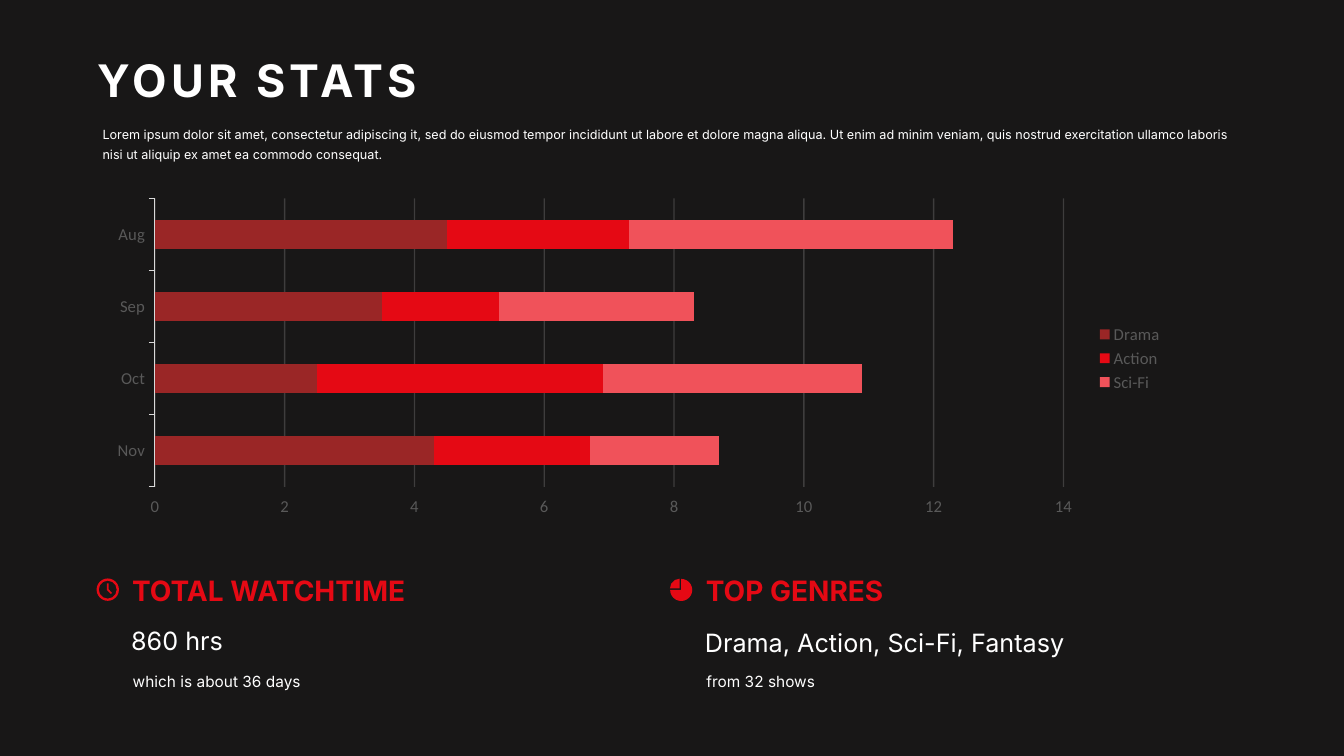
from lxml import etree
from pptx import Presentation
from pptx.chart.data import CategoryChartData
from pptx.dml.color import RGBColor
from pptx.enum.chart import XL_CHART_TYPE as CT, XL_LEGEND_POSITION as LP, XL_TICK_MARK as TM
from pptx.enum.shapes import MSO_SHAPE as SH
from pptx.enum.text import MSO_ANCHOR as ANCHOR, MSO_AUTO_SIZE as AUTO, PP_ALIGN as ALIGN
from pptx.oxml.ns import qn
from pptx.util import Pt

BG, WHITE, RED = "181717", "FFFFFF", "E50914"
GREY, LIGHT = "595959", "D9D9D9"
MONTHS = ["Nov", "Oct", "Sep", "Aug"]
GENRES = [
    ("Drama", "9A2626", [4.3, 2.5, 3.5, 4.5]),
    ("Action", RED, [2.4, 4.4, 1.8, 2.8]),
    ("Sci-Fi", "F0525A", [2, 4, 3, 5]),
]


def rgb(value):
    return RGBColor.from_string(value)


def box(x, y, w, h):
    return Pt(x), Pt(y), Pt(w), Pt(h)


def write(sp, text, size, color=WHITE, bold=False, wrap=False):
    tf = sp.text_frame
    tf.text = text
    tf.word_wrap = wrap
    tf.auto_size = AUTO.SHAPE_TO_FIT_TEXT
    tf.vertical_anchor = ANCHOR.TOP
    p = tf.paragraphs[0]
    p.alignment = ALIGN.LEFT
    font = p.runs[0].font
    font.name, font.size, font.bold = "Inter", Pt(size), bold
    font.color.rgb = rgb(color)
    return p


def paint(sp):
    sp.shadow.inherit = False
    sp.fill.solid()
    sp.fill.fore_color.rgb = rgb(RED)
    sp.line.fill.background()


def add_header(s, x, y, w):
    title = s.shapes.title
    title.left, title.top, title.width, title.height = box(x, y, 248.4, 46)
    p = write(title, "YOUR STATS", 32, bold=True)
    p.line_spacing = 1.0
    p.runs[0].font._element.set("spc", "300")  # letter spacing

    intro = s.shapes.add_textbox(*box(x + 3.6, y + 50.4, w, 34.6))
    p = write(intro, "Lorem ipsum dolor sit amet, consectetur adipiscing it, sed do eiusmod "
              "tempor incididunt ut labore et dolore magna aliqua. Ut enim ad minim veniam, "
              "quis nostrud exercitation ullamco laboris nisi ut aliquip ex amet ea commodo "
              "consequat.", 9, wrap=True)
    p.line_spacing = 1.3


def set_plot_area(chart, **layout):
    plot_area = chart.element.find(".//" + qn("c:plotArea"))
    for old in plot_area.findall(qn("c:layout")):
        plot_area.remove(old)
    node = etree.Element(qn("c:layout"))
    manual = etree.SubElement(node, qn("c:manualLayout"))
    values = {"layoutTarget": "inner", "xMode": "edge", "yMode": "edge", **layout}
    for key, val in values.items():
        etree.SubElement(manual, qn("c:" + key)).set("val", str(val))
    plot_area.insert(0, node)


def add_watch_chart(s, x, y, w, h):
    data = CategoryChartData()
    data.categories = MONTHS
    for name, _, hours in GENRES:
        data.add_series(name, hours)
    chart = s.shapes.add_chart(CT.BAR_STACKED, *box(x, y, w, h), data).chart
    chart.has_title = False
    chart.font.name, chart.font.size = "Calibri", Pt(11.9)
    chart.font.color.rgb = rgb(GREY)

    # Bars
    plot = chart.plots[0]
    plot.gap_width, plot.overlap, plot.vary_by_categories = 150, 100, False
    for series, (_, color, _) in zip(plot.series, GENRES):
        series.format.fill.solid()
        series.format.fill.fore_color.rgb = rgb(color)

    # Axes and faint gridlines
    months, hours = chart.category_axis, chart.value_axis
    for axis in (months, hours):
        axis.major_tick_mark = TM.OUTSIDE
        axis.minor_tick_mark = TM.NONE
    months.format.line.color.rgb = rgb(LIGHT)
    months.format.line.width = Pt(0.75)
    hours.format.line.fill.background()
    hours.minimum_scale, hours.maximum_scale, hours.major_unit = 0, 14, 2
    hours.has_major_gridlines = True
    grid = hours.major_gridlines.format.line
    grid.color.rgb = rgb(LIGHT)
    grid.width = Pt(1)
    lines = chart.element.find(".//" + qn("c:majorGridlines"))
    tint = lines.find(".//" + qn("a:srgbClr"))
    etree.SubElement(tint, qn("a:alpha")).set("val", "20000")

    # Legend
    chart.has_legend = True
    chart.legend.position = LP.RIGHT
    chart.legend.include_in_layout = False
    set_plot_area(chart, x=0.054, y=0.018, w=0.844, h=0.87)


def add_clock(s, x, y):
    ring = s.shapes.add_shape(SH.DONUT, *box(x, y, 16, 16))
    ring.adjustments[0] = 0.1
    paint(ring)
    hands = [(7.3, 3.6), (8.6, 3.6), (8.6, 7.8), (11, 10.3), (10.2, 11.2), (7.3, 8.2)]
    points = [(Pt(x + dx), Pt(y + dy)) for dx, dy in hands]
    fb = s.shapes.build_freeform(*points[0])
    fb.add_line_segments(points[1:], close=True)
    paint(fb.convert_to_shape())


def add_pie(s, x, y):
    # Three quarters, then the detached upper left quarter
    for cx, cy, radius, start, end in [(7.8, 8.2, 7.9, 270, 180), (6.6, 7, 6.8, 180, 270)]:
        sp = s.shapes.add_shape(
            SH.PIE, *box(x + cx - radius, y + cy - radius, 2 * radius, 2 * radius))
        sp.adjustments[0], sp.adjustments[1] = start * 0.6, end * 0.6
        paint(sp)


def add_stat(s, x, y, add_icon, heading, value, value_top, note):
    add_icon(s, x, y + 7.2)
    rows = [
        (18.3, 0, 212, 31.7, heading, 20, RED, True),
        (17.6, value_top, 273, 28.8, value, 18, WHITE, False),
        (18.7, 70.2, 136, 20.9, note, 11, WHITE, False),
    ]
    for dx, dy, w, h, text, size, color, bold in rows:
        write(s.shapes.add_textbox(*box(x + dx, y + dy, w, h)), text, size, color, bold)


def main():
    prs = Presentation()
    prs.slide_width, prs.slide_height = Pt(960), Pt(540)
    s = prs.slides.add_slide(prs.slide_layouts[5])
    s.background.fill.solid()
    s.background.fill.fore_color.rgb = rgb(BG)

    add_header(s, 62.6, 33.8, 825)
    add_watch_chart(s, 69.1, 137.5, 769, 236.9)
    add_stat(s, 69, 406, add_clock, "TOTAL WATCHTIME", "860 hrs", 36.8,
             "which is about 36 days")
    add_stat(s, 478.8, 406, add_pie, "TOP GENRES", "Drama, Action, Sci-Fi, Fantasy", 38.8,
             "from 32 shows")
    prs.save("out.pptx")


if __name__ == "__main__":
    main()
